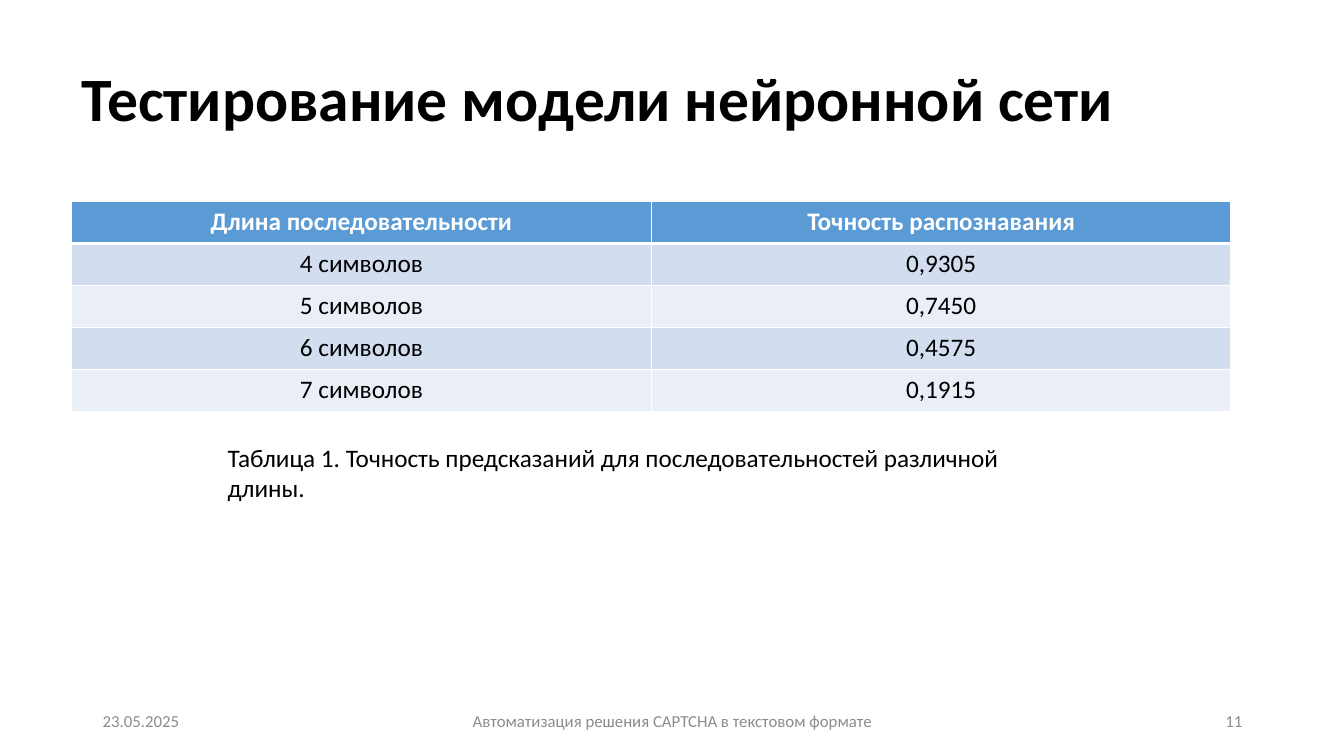
from lxml.etree import SubElement
from pptx import Presentation
from pptx.dml.color import RGBColor
from pptx.enum.text import MSO_ANCHOR as Anchor, MSO_AUTO_SIZE as AutoSize, PP_ALIGN as Align
from pptx.oxml.ns import qn
from pptx.util import Inches, Pt

BLACK = RGBColor(0x00, 0x00, 0x00)
WHITE = RGBColor(0xFF, 0xFF, 0xFF)
GRAY = RGBColor(0x8C, 0x8C, 0x8C)
HEADER_BLUE = RGBColor(0x5B, 0x9B, 0xD5)
BAND_DARK = RGBColor(0xD2, 0xDE, 0xEF)
BAND_LIGHT = RGBColor(0xEA, 0xEF, 0xF7)

ACCURACY = [
    ("Длина последовательности", "Точность распознавания"),
    ("4 символов", "0,9305"),
    ("5 символов", "0,7450"),
    ("6 символов", "0,4575"),
    ("7 символов", "0,1915"),
]


def write_text(frame, text, size=18, color=BLACK, bold=False, align=Align.LEFT, spacing=1.0):
    para = frame.paragraphs[0]
    para.alignment = align
    para.line_spacing = spacing
    span = para.add_run()
    span.text = text
    span.font.name = "Calibri"
    span.font.size = Pt(size)
    span.font.bold = bold
    span.font.color.rgb = color


def add_label(page, text, left, top, width, height, anchor=Anchor.TOP, **style):
    box = page.shapes.add_textbox(Inches(left), Inches(top), Inches(width), Inches(height))
    box.text_frame.word_wrap = True
    box.text_frame.vertical_anchor = anchor
    write_text(box.text_frame, text, **style)
    return box


def add_title(page, text, left, top, width, height):
    title = page.shapes.title
    title.left, title.top = Inches(left), Inches(top)
    title.width, title.height = Inches(width), Inches(height)
    title.text_frame.word_wrap = True
    title.text_frame.auto_size = AutoSize.NONE
    title.text_frame.vertical_anchor = Anchor.MIDDLE
    write_text(title.text_frame, text, size=44, bold=True, spacing=0.9)


def set_borders(cell, top, bottom):
    properties = cell._tc.get_or_add_tcPr()
    for side, points in (("L", 1), ("R", 1), ("T", top), ("B", bottom)):
        line = SubElement(properties, qn(f"a:ln{side}"), w=str(Pt(points)))
        fill = SubElement(line, qn("a:solidFill"))
        SubElement(fill, qn("a:srgbClr"), val=str(WHITE))


def add_accuracy_table(page, rows, left, top, width, height):
    table = page.shapes.add_table(
        len(rows), len(rows[0]), Inches(left), Inches(top), Inches(width), Inches(height)
    ).table
    for row, values in enumerate(rows):
        header = row == 0
        band = HEADER_BLUE if header else BAND_DARK if row % 2 else BAND_LIGHT
        for column, value in enumerate(values):
            cell = table.cell(row, column)
            set_borders(cell, top=3 if row == 1 else 1, bottom=3 if header else 1)
            cell.fill.solid()
            cell.fill.fore_color.rgb = band
            write_text(cell.text_frame, value, color=WHITE if header else BLACK,
                       bold=header, align=Align.CENTER)


def add_footer(page, left, top, width, height):
    side, middle = 3, 4.5
    parts = [
        ("23.05.2025", left, side, Align.LEFT),
        ("Автоматизация решения CAPTCHA в текстовом формате",
         left + (width - middle) / 2, middle, Align.CENTER),
        ("11", left + width - side, side, Align.RIGHT),
    ]
    for text, start, span_width, align in parts:
        add_label(page, text, start, top, span_width, height,
                  anchor=Anchor.MIDDLE, size=12, color=GRAY, align=align)


def main():
    deck = Presentation()
    deck.slide_width, deck.slide_height = Inches(13.33), Inches(7.5)
    page = deck.slides.add_slide(deck.slide_layouts.get_by_name("Title Only"))
    add_title(page, "Тестирование модели нейронной сети", 0.71, 0.28, 11.5, 1.45)
    add_accuracy_table(page, ACCURACY, 0.71, 2, 11.5, 2.08)
    caption = add_label(
        page, "Таблица 1. Точность предсказаний для последовательностей различной длины.",
        2.16, 4.34, 8.6, 0.4)
    caption.text_frame.auto_size = AutoSize.SHAPE_TO_FIT_TEXT
    add_footer(page, 0.92, 6.95, 11.5, 0.4)
    deck.save("out.pptx")


if __name__ == "__main__":
    main()
